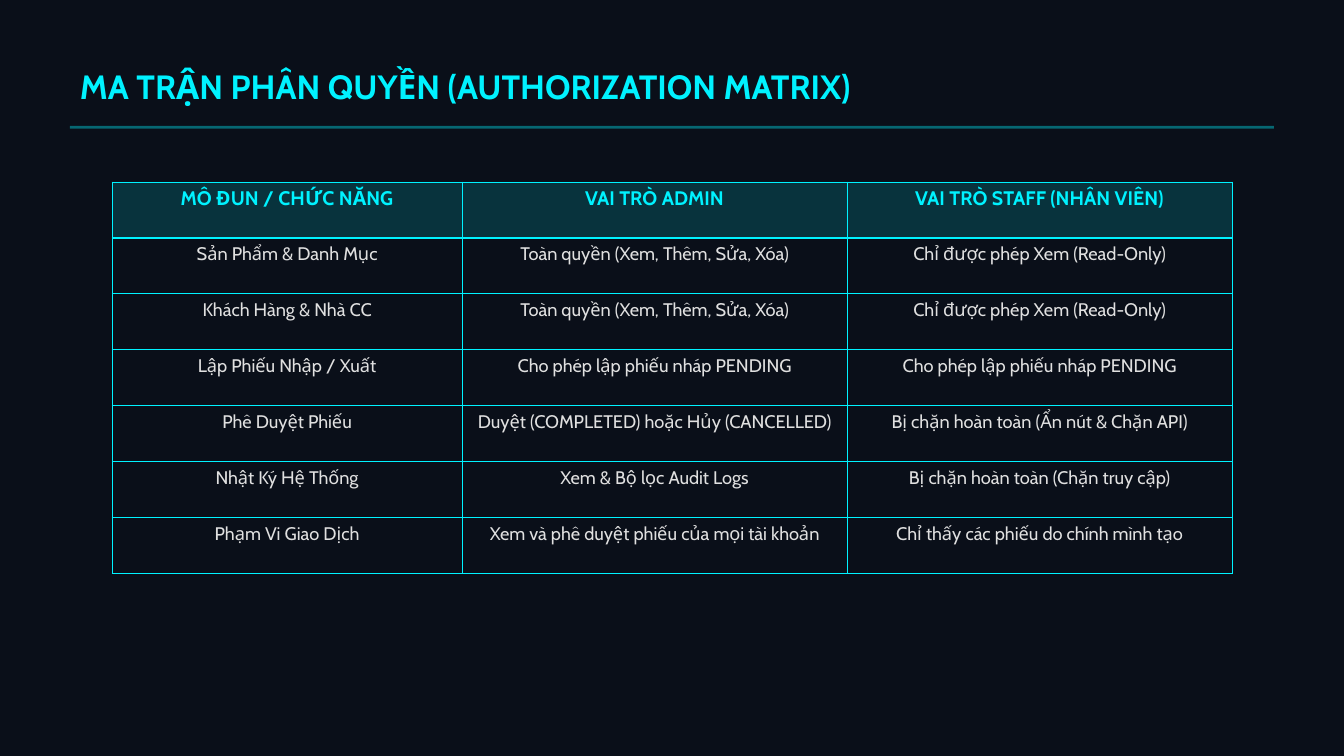
from lxml.etree import SubElement
from pptx import Presentation
from pptx.dml.color import RGBColor
from pptx.enum.shapes import MSO_SHAPE as Shape
from pptx.enum.text import MSO_ANCHOR as Anchor, PP_ALIGN as Align
from pptx.oxml.ns import qn
from pptx.util import Inches, Pt

WIDTH, HEIGHT = 13.33, 7.5
UNIT = WIDTH / 24
FONT = "Cabin"
CYAN, NAVY, SILVER = "00F2FF", "0A0F19", "E0E0E0"
COLUMNS = (6.25, 6.875, 6.875)
BORDERS = {"lnL": (0.5, 12), "lnR": (0.5, 12), "lnT": (0.5, 12), "lnB": (1, 31)}
MATRIX = [
    ("MÔ ĐUN / CHỨC NĂNG", "VAI TRÒ ADMIN", "VAI TRÒ STAFF (NHÂN VIÊN)"),
    ("Sản Phẩm & Danh Mục", "Toàn quyền (Xem, Thêm, Sửa, Xóa)", "Chỉ được phép Xem (Read-Only)"),
    ("Khách Hàng & Nhà CC", "Toàn quyền (Xem, Thêm, Sửa, Xóa)", "Chỉ được phép Xem (Read-Only)"),
    ("Lập Phiếu Nhập / Xuất", "Cho phép lập phiếu nháp PENDING", "Cho phép lập phiếu nháp PENDING"),
    ("Phê Duyệt Phiếu", "Duyệt (COMPLETED) hoặc Hủy (CANCELLED)", "Bị chặn hoàn toàn (Ẩn nút & Chặn API)"),
    ("Nhật Ký Hệ Thống", "Xem & Bộ lọc Audit Logs", "Bị chặn hoàn toàn (Chặn truy cập)"),
    ("Phạm Vi Giao Dịch", "Xem và phê duyệt phiếu của mọi tài khoản", "Chỉ thấy các phiếu do chính mình tạo"),
]


def color(value):
    """Turn a hex string into a colour."""
    return RGBColor.from_string(value)


def grid(*lengths):
    """Turn grid units into slide lengths."""
    return [Inches(length * UNIT) for length in lengths]


def set_fill(fill, value, alpha, properties):
    """Fill solidly, with an opacity in percent."""
    fill.solid()
    fill.fore_color.rgb = color(value)
    if alpha < 100:
        tint = properties.find(qn("a:solidFill"))[0]
        SubElement(tint, qn("a:alpha"), val=str(alpha * 1000))


def add_run(paragraph, text, size, value, bold):
    """Add one styled run."""
    run = paragraph.add_run()
    run.text = text
    run.font.name = FONT
    run.font.size = Pt(size)
    run.font.bold = bold
    run.font.color.rgb = color(value)


def add_panel(slide, box, value, alpha=100):
    """Add a plain rectangle without outline."""
    shape = slide.shapes.add_shape(Shape.RECTANGLE, *grid(*box))
    shape.shadow.inherit = False
    shape.line.fill.background()
    set_fill(shape.fill, value, alpha, shape.element.spPr)


def add_title(slide, box, text):
    """Add the slide heading."""
    frame = slide.shapes.add_textbox(*grid(*box)).text_frame
    frame.word_wrap = True
    frame.vertical_anchor = Anchor.TOP
    frame.margin_top = Inches(0.24)
    add_run(frame.paragraphs[0], text, 24, CYAN, True)


def add_borders(properties):
    """Draw the four borders of a cell ahead of its fill."""
    for index, (tag, (width, alpha)) in enumerate(BORDERS.items()):
        line = SubElement(properties, qn(f"a:{tag}"), w=str(Pt(width)))
        tint = SubElement(SubElement(line, qn("a:solidFill")), qn("a:srgbClr"), val=CYAN)
        SubElement(tint, qn("a:alpha"), val=str(alpha * 1000))
        SubElement(line, qn("a:prstDash"), val="solid")
        properties.insert(index, line)


def style_cell(cell, text, header):
    """Write and colour one cell."""
    paragraph = cell.text_frame.paragraphs[0]
    paragraph.alignment = Align.CENTER
    size, value = (14, CYAN) if header else (13, SILVER)
    add_run(paragraph, text, size, value, header)
    properties = cell._tc.get_or_add_tcPr()
    background, alpha = (CYAN, 16) if header else (NAVY, 31)
    set_fill(cell.fill, background, alpha, properties)
    add_borders(properties)


def add_matrix(slide, left, top, rows):
    """Add the permission table, one grid unit per row."""
    box = grid(left, top, sum(COLUMNS), len(rows))
    table = slide.shapes.add_table(len(rows), len(COLUMNS), *box).table
    table.horz_banding = False
    for column, width in zip(table.columns, grid(*COLUMNS)):
        column.width = width
    for row_index, texts in enumerate(rows):
        for column_index, text in enumerate(texts):
            style_cell(table.cell(row_index, column_index), text, row_index == 0)


def main():
    """Build and save the slide."""
    presentation = Presentation()
    presentation.slide_width = Inches(WIDTH)
    presentation.slide_height = Inches(HEIGHT)
    slide = presentation.slides.add_slide(presentation.slide_layouts[6])
    add_panel(slide, (0, 0, 24, HEIGHT / UNIT), NAVY)
    add_title(slide, (1.25, 0.75, 21.5, 1.5), "MA TRẬN PHÂN QUYỀN (AUTHORIZATION MATRIX)")
    add_panel(slide, (1.25, 2.25, 21.5, 0.05), CYAN, 39)
    add_matrix(slide, 2, 3.25, MATRIX)
    presentation.save("out.pptx")


if __name__ == "__main__":
    main()
